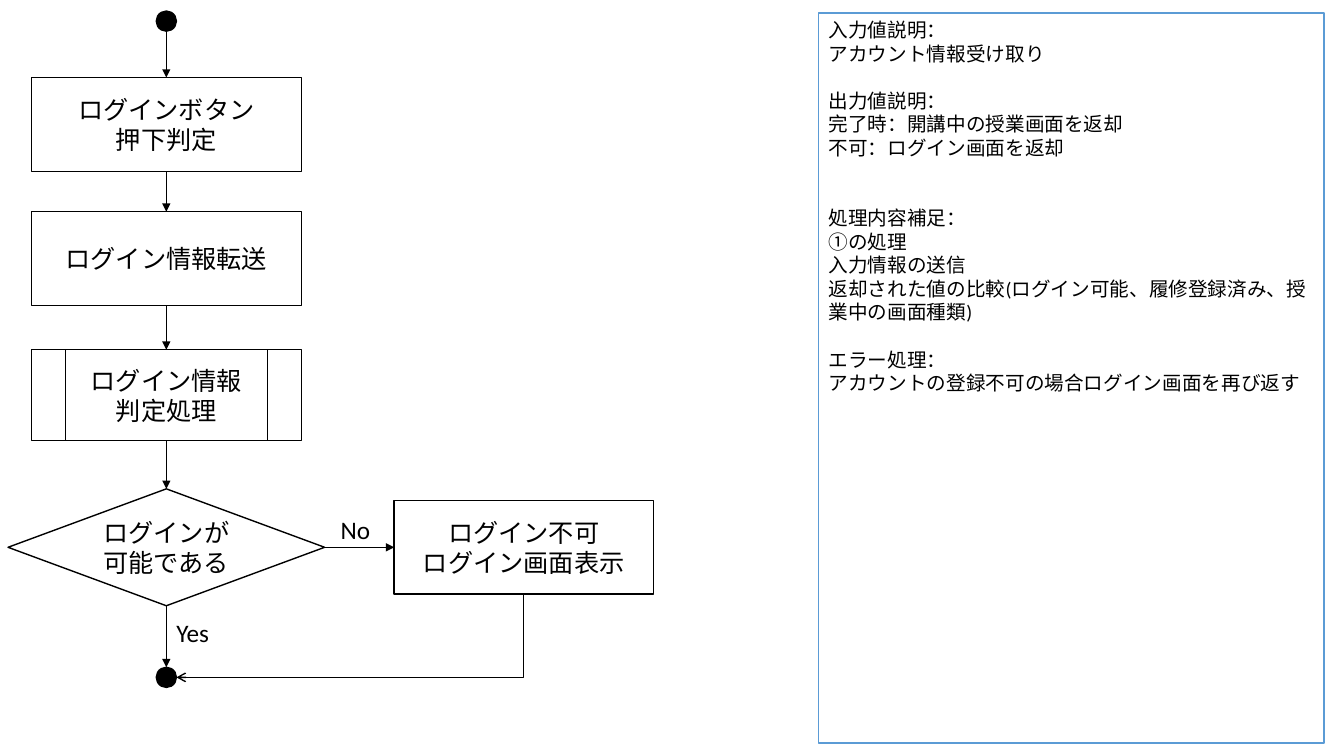
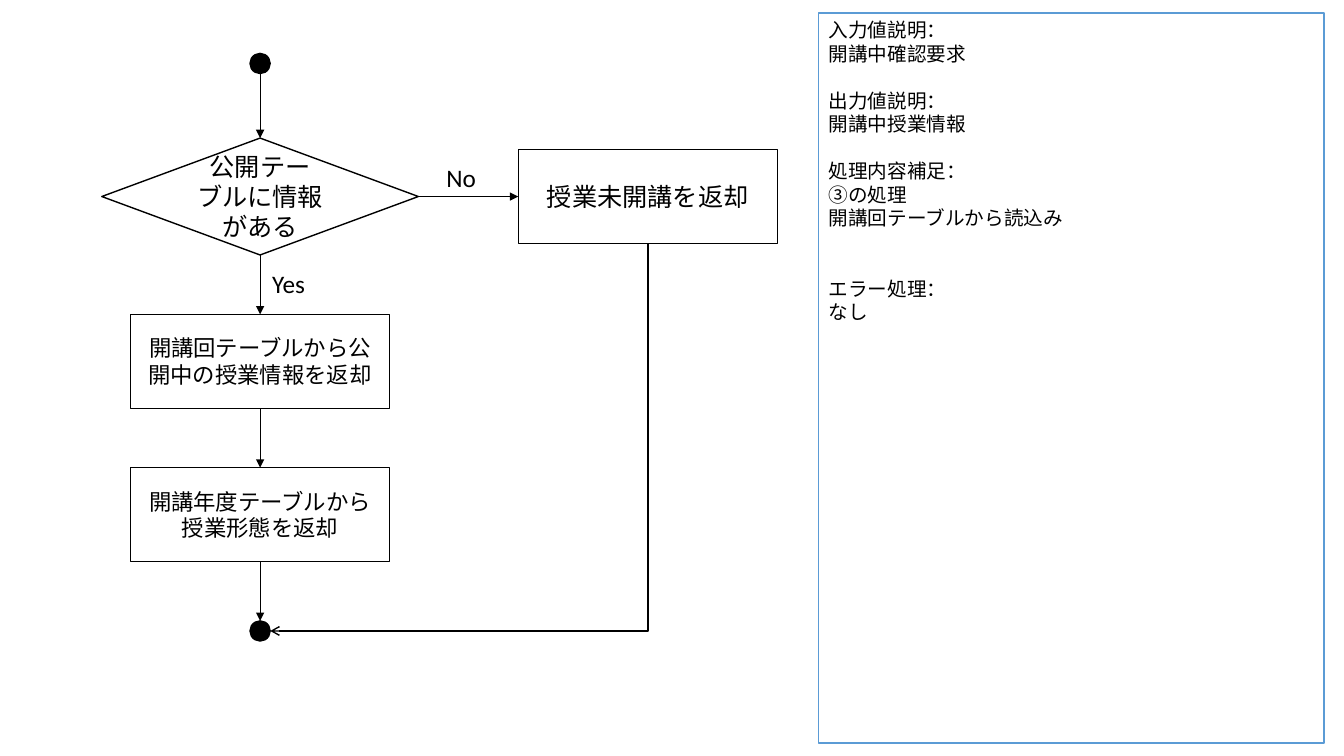
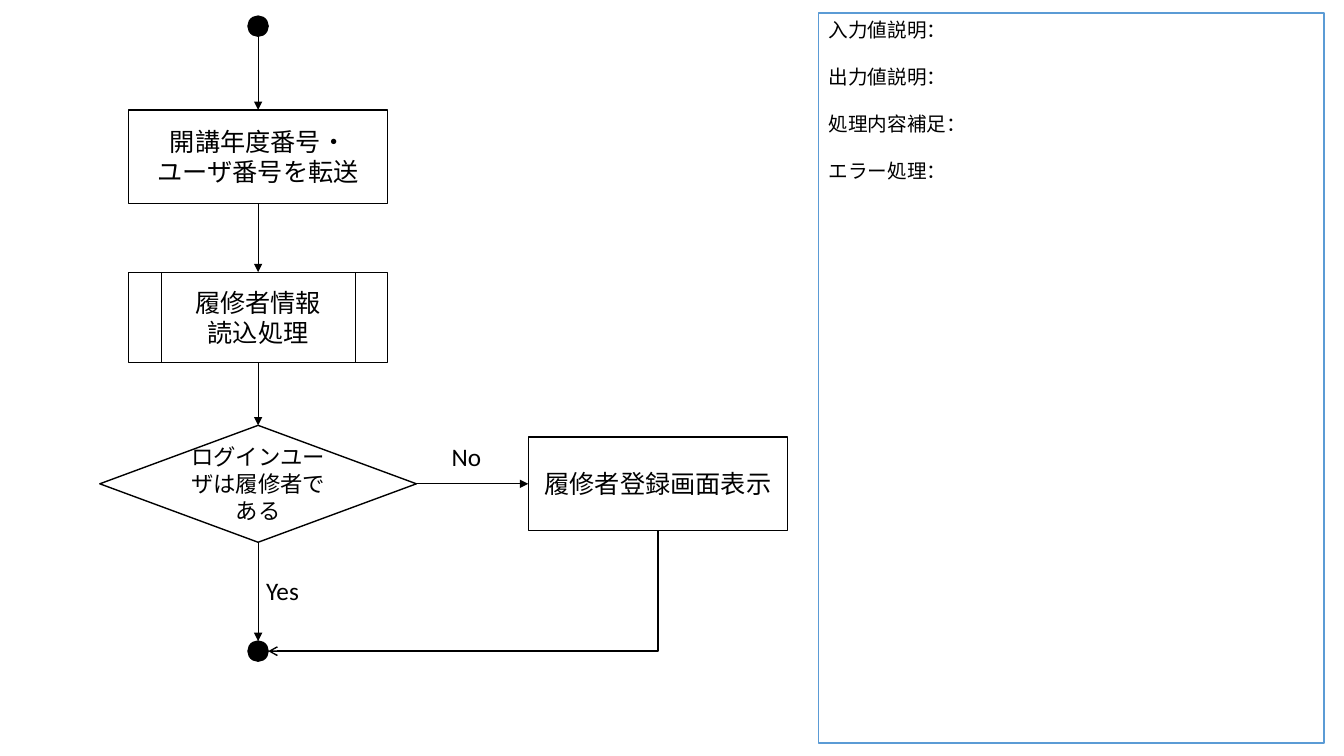
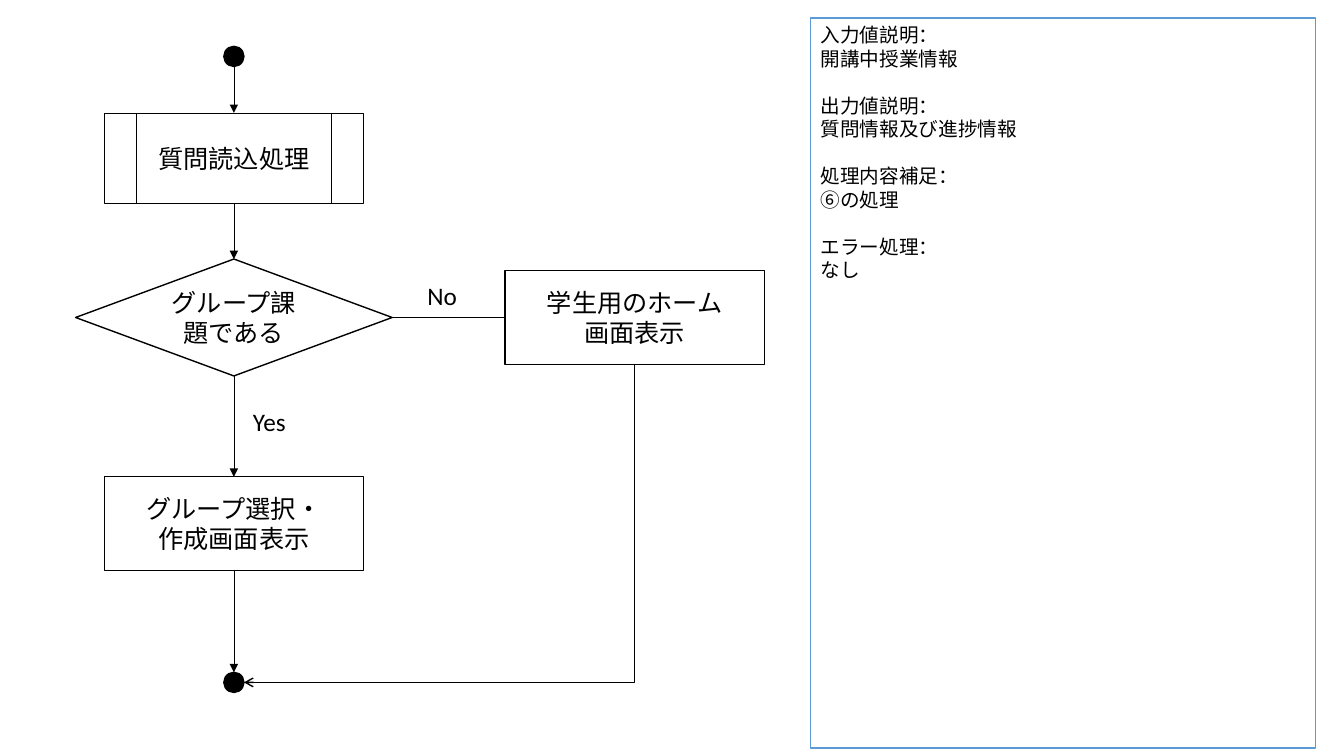
from lxml import etree
from pptx import Presentation
from pptx import util as u
from pptx.dml.color import RGBColor
from pptx.enum import shapes, text
from pptx.oxml.ns import qn

BLACK = RGBColor(0x00, 0x00, 0x00)
WHITE = RGBColor(0xFF, 0xFF, 0xFF)
BLUE = RGBColor(0x5B, 0x9B, 0xD5)
FONT = "Calibri"
DOT = 0.2
BOX_W, BOX_H = 2.57, 0.93
SUB_H = 0.9
DECISION_W, DECISION_H = 3.14, 1.16
NOTE_LINE = 16.8
NOTE_HEADS = ["入力値説明：", "出力値説明：", "処理内容補足：", "エラー処理："]
TOP, LEFT, BOTTOM, RIGHT = range(4)
SHAPE = shapes.MSO_SHAPE


class Flow:
    def __init__(self, prs):
        self.prs = prs

    def new_slide(self, cx):
        self.s = self.prs.slides.add_slide(self.prs.slide_layouts[6])
        self.cx = cx

    def set_text(self, sp, content, size, align):
        tf = sp.text_frame
        tf.word_wrap = True
        tf.text = content
        for p in tf.paragraphs:
            p.alignment = align
            for r in p.runs:
                r.font.name = FONT
                r.font.size = u.Pt(size)
                r.font.color.rgb = BLACK
        return tf

    def shape(self, kind, x, y, w, h, fill=WHITE, line=BLACK, weight=1):
        sp = self.s.shapes.add_shape(
            kind, u.Inches(x), u.Inches(y), u.Inches(w), u.Inches(h))
        sp.shadow.inherit = False
        if fill is None:
            sp.fill.background()
        else:
            sp.fill.solid()
            sp.fill.fore_color.rgb = fill
        sp.line.color.rgb = line
        sp.line.width = u.Pt(weight)
        return sp

    def step(self, kind, cx, y, w, h, content, size=18, **style):
        sp = self.shape(kind, cx - w / 2, y, w, h, **style)
        tf = self.set_text(sp, content, size, text.PP_ALIGN.CENTER)
        tf.vertical_anchor = text.MSO_ANCHOR.MIDDLE
        return sp

    def dot(self, y):
        return self.shape(SHAPE.OVAL, self.cx - DOT / 2, y, DOT, DOT, fill=BLACK)

    def process(self, y, content, size=18, w=BOX_W):
        return self.step(SHAPE.FLOWCHART_PROCESS, self.cx, y, w, BOX_H, content, size)

    def subroutine(self, y, content, w=BOX_W):
        return self.step(SHAPE.FLOWCHART_PREDEFINED_PROCESS, self.cx, y, w, SUB_H,
                         content, fill=None, weight=0.5)

    def decision(self, y, content, size=18):
        return self.step(SHAPE.FLOWCHART_DECISION, self.cx, y, DECISION_W, DECISION_H,
                         content, size)

    def connector(self, kind, weight, head, x1=0, y1=0, x2=0, y2=0):
        cn = self.s.shapes.add_connector(kind, x1, y1, x2, y2)
        cn.line.color.rgb = BLACK
        cn.line.width = u.Pt(weight)
        spPr = cn.element.spPr
        if head:
            etree.SubElement(spPr.find(qn("a:ln")), qn("a:tailEnd"), type=head)
        etree.SubElement(spPr, qn("a:effectLst"))
        return cn

    def arrow(self, start, end, start_side=BOTTOM, end_side=TOP, head="triangle"):
        x, y = start.left + start.width // 2, start.top + start.height
        cn = self.connector(shapes.MSO_CONNECTOR.STRAIGHT, 0.5, head, x, y, x, y)
        if start.auto_shape_type != SHAPE.OVAL:
            cn.begin_connect(start, start_side)
        cn.end_connect(end, end_side)

    def chain(self, *steps):
        for start, end in zip(steps, steps[1:]):
            self.arrow(start, end)

    def elbow(self, start, end):
        x1, y1 = start.left + start.width // 2, start.top + start.height
        x2, y2 = end.left + end.width, end.top + end.height // 2
        cn = self.connector(shapes.MSO_CONNECTOR.ELBOW, 1, "arrow")
        across, down = x1 - x2, y2 - y1
        cn.left = (x1 + x2 - down) // 2
        cn.top = (y1 + y2 - across) // 2
        cn.width, cn.height = down, across
        spPr = cn.element.spPr
        spPr.find(qn("a:xfrm")).set("rot", "5400000")
        spPr.find(qn("a:prstGeom")).set("prst", "bentConnector2")

    def branch(self, decision, end, x, content, head="triangle"):
        y = (decision.top + decision.height / 2) / u.Inches(1) - BOX_H / 2
        sp = self.step(SHAPE.FLOWCHART_PROCESS, x + BOX_W / 2, y, BOX_W, BOX_H, content)
        self.arrow(decision, sp, RIGHT, LEFT, head)
        self.elbow(sp, end)

    def label(self, x, y, content):
        sp = self.s.shapes.add_textbox(
            u.Inches(x), u.Inches(y), u.Inches(0.62), u.Inches(0.4))
        tf = self.set_text(sp, content, 18, text.PP_ALIGN.LEFT)
        tf.auto_size = text.MSO_AUTO_SIZE.SHAPE_TO_FIT_TEXT

    def notes(self, bodies, wide=None, x=8.12, y=0.13):
        sp = self.shape(SHAPE.FLOWCHART_PROCESS, x, y, 5.01, 7.24, line=BLUE)
        lines = [line for head, body in zip(NOTE_HEADS, bodies) for line in [head, *body]]
        tf = self.set_text(sp, "\n".join(lines), 14, text.PP_ALIGN.LEFT)
        tf.vertical_anchor = text.MSO_ANCHOR.TOP
        for p in tf.paragraphs:
            if p.text in NOTE_HEADS[1:]:
                p.space_before = u.Pt(NOTE_LINE * (2 if p.text == wide else 1))


def login(f):
    f.new_slide(1.65)
    end = f.dot(6.62)
    check = f.decision(4.85, "ログインが\n可能である")
    f.chain(f.dot(0.11),
            f.process(0.77, "ログインボタン\n押下判定", w=2.68),
            f.process(2.1, "ログイン情報転送", w=2.68),
            f.subroutine(3.47, "ログイン情報\n判定処理", w=2.68),
            check, end)
    f.branch(check, end, 3.91, "ログイン不可\nログイン画面表示")
    f.label(1.65, 6.08, "Yes")
    f.label(3.28, 5.05, "No")
    f.notes([["アカウント情報受け取り"],
             ["完了時：開講中の授業画面を返却", "不可：ログイン画面を返却"],
             ["①の処理", "入力情報の送信",
              "返却された値の比較(ログイン可能、履修登録済み、授業中の画面種類)"],
             ["アカウントの登録不可の場合ログイン画面を再び返す"]],
            wide=NOTE_HEADS[2])


def open_class(f):
    f.new_slide(2.58)
    end = f.dot(6.16)
    check = f.decision(1.37, "公開テー\nブルに情報がある")
    f.chain(f.dot(0.53), check,
            f.process(3.12, "開講回テーブルから公開中の授業情報を返却", 16),
            f.process(4.64, "開講年度テーブルから\n授業形態を返却", 16),
            end)
    f.branch(check, end, 5.14, "授業未開講を返却")
    f.label(2.6, 2.61, "Yes")
    f.label(4.33, 1.56, "No")
    f.notes([["開講中確認要求"], ["開講中授業情報"],
             ["③の処理", "開講回テーブルから読込み"], ["なし"]],
            wide=NOTE_HEADS[3])


def enrolment(f):
    f.new_slide(2.56)
    end = f.dot(6.36)
    check = f.decision(4.22, "ログインユーザは履修者である", 16)
    f.chain(f.dot(0.16),
            f.process(1.09, "開講年度番号・\nユーザ番号を転送"),
            f.subroutine(2.7, "履修者情報\n読込処理"),
            check, end)
    f.branch(check, end, 5.24, "履修者登録画面表示")
    f.label(2.54, 5.66, "Yes")
    f.label(4.38, 4.33, "No")
    f.notes([[]] * 4)


def group_task(f):
    f.new_slide(2.32)
    end = f.dot(6.67)
    check = f.decision(2.57, "グループ課題である")
    f.chain(f.dot(0.46),
            f.subroutine(1.12, "質問読込処理"),
            check,
            f.process(4.73, "グループ選択・\n作成画面表示"),
            end)
    f.branch(check, end, 5.01, "学生用のホーム\n画面表示", head=None)
    f.label(2.41, 3.98, "Yes")
    f.label(4.14, 2.73, "No")
    f.notes([["開講中授業情報"], ["質問情報及び進捗情報"], ["⑥の処理"], ["なし"]],
            x=8.04, y=0.18)


def main():
    prs = Presentation()
    prs.slide_width, prs.slide_height = u.Inches(13.33), u.Inches(7.5)
    f = Flow(prs)
    for build in (login, open_class, enrolment, group_task):
        build(f)
    prs.save("out.pptx")


if __name__ == "__main__":
    main()
